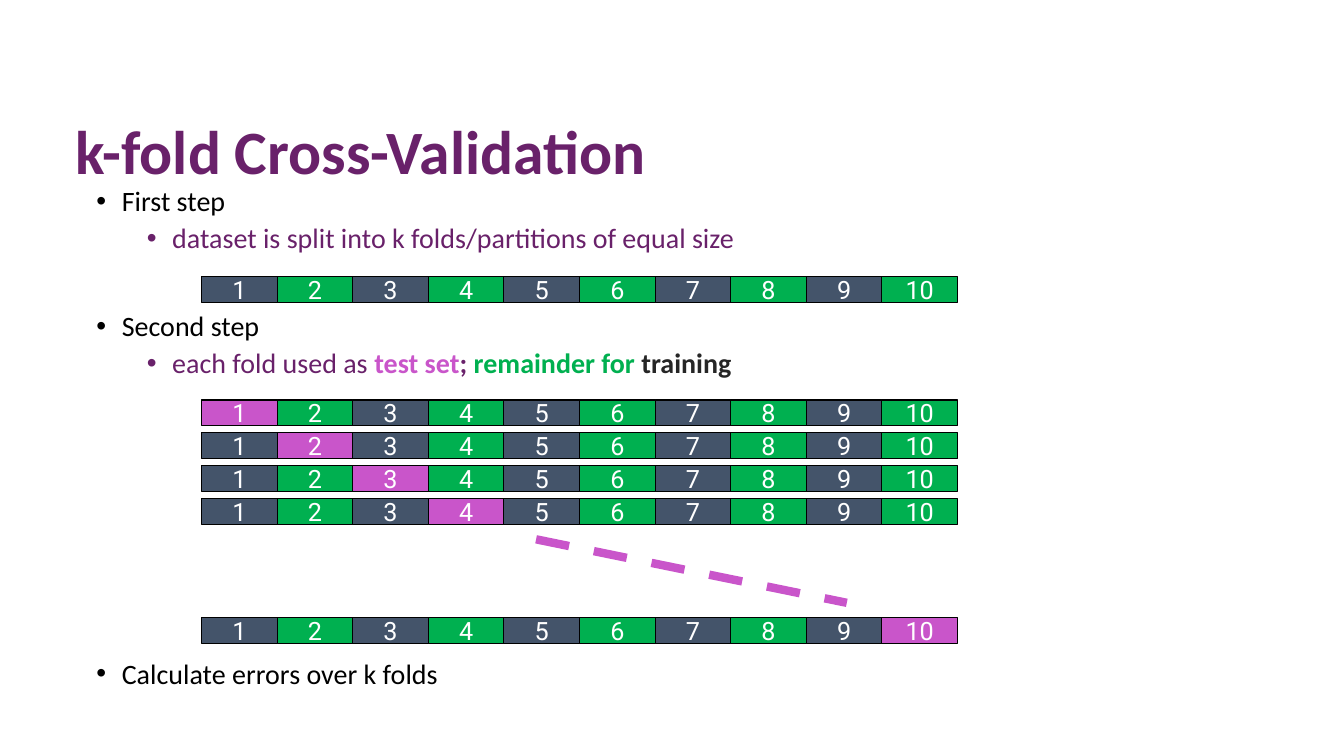
from dataclasses import dataclass

import pptx
import pptx.dml.color
import pptx.enum.dml
import pptx.enum.shapes
import pptx.enum.text
import pptx.oxml.ns
import pptx.shapes.autoshape
import pptx.slide
import pptx.text.text
import pptx.util
from lxml import etree
from pptx.dml.color import RGBColor
from pptx.util import Cm, Pt

PURPLE = RGBColor(0x69, 0x21, 0x6A)
ORCHID = RGBColor(0xC9, 0x55, 0xCA)
GREEN = RGBColor(0x00, 0xB0, 0x50)
SLATE = RGBColor(0x44, 0x54, 0x6A)
CHARCOAL = RGBColor(0x26, 0x26, 0x26)
BLACK = RGBColor(0x00, 0x00, 0x00)
WHITE = RGBColor(0xFF, 0xFF, 0xFF)

FOLD_COUNT = 10
BAR_LEFT = 5.08
BAR_WIDTH = 19.05
BAR_HEIGHT = 0.64
FIRST_ROUND_TOP = 10.08
ROUND_PITCH = 0.83


@dataclass(frozen=True)
class Phrase:
    text: str
    color: RGBColor
    bold: bool = False


@dataclass(frozen=True)
class Step:
    phrases: tuple[Phrase, ...]
    level: int = 0
    space_before: float = 0


@dataclass(frozen=True)
class FoldBar:
    top: float
    test_fold: int | None = None


STEPS = (
    Step((Phrase("First step", BLACK),)),
    Step((Phrase("dataset is split into k folds/partitions of equal size", PURPLE),), 1, 5),
    Step((Phrase("Second step", BLACK),), 0, 41),
    Step(
        (
            Phrase("each fold used as ", PURPLE),
            Phrase("test set", ORCHID, True),
            Phrase("; ", PURPLE, True),
            Phrase("remainder for ", GREEN, True),
            Phrase("training", CHARCOAL, True),
        ),
        1,
        5,
    ),
    Step((Phrase("Calculate errors over k folds", BLACK),), 0, 200),
)

FOLD_BARS = (
    FoldBar(6.98),
    *(FoldBar(FIRST_ROUND_TOP + i * ROUND_PITCH, i + 1) for i in range(4)),
    FoldBar(15.57, FOLD_COUNT),
)


def style_run(run: pptx.text.text._Run, font_name: str, size: float,
              color: RGBColor, bold: bool = False) -> None:
    run.font.name = font_name
    run.font.size = Pt(size)
    run.font.bold = bold
    run.font.color.rgb = color


def add_bullet(paragraph: pptx.text.text._Paragraph, level: int) -> None:
    properties = paragraph._p.get_or_add_pPr()
    properties.set("marL", str(Cm(1.91 if level else 0.64)))
    properties.set("indent", str(Cm(-0.64)))
    etree.SubElement(properties, pptx.oxml.ns.qn("a:buFont"), typeface="Arial")
    etree.SubElement(properties, pptx.oxml.ns.qn("a:buChar"), char="•")


def draw_title(slide: pptx.slide.Slide) -> None:
    title = slide.shapes.add_textbox(Cm(1.65), Cm(2.84), Cm(29.21), Cm(2.11)).text_frame
    title.word_wrap = True
    title.vertical_anchor = pptx.enum.text.MSO_ANCHOR.MIDDLE
    title.text = "k-fold Cross-Validation"
    title.paragraphs[0].line_spacing = 0.9
    style_run(title.paragraphs[0].runs[0], "Calibri", 44, PURPLE, True)


def draw_steps(slide: pptx.slide.Slide) -> None:
    outline = slide.shapes.add_textbox(Cm(2.18), Cm(4.6), Cm(22.94), Cm(13.44)).text_frame
    outline.word_wrap = True
    for index, step in enumerate(STEPS):
        paragraph = outline.add_paragraph() if index else outline.paragraphs[0]
        paragraph.level = step.level
        add_bullet(paragraph, step.level)
        paragraph.line_spacing = 0.9
        paragraph.space_before = Pt(step.space_before)
        for phrase in step.phrases:
            run = paragraph.add_run()
            run.text = phrase.text
            style_run(run, "Calibri", 20, phrase.color, phrase.bold)


def fold_color(fold: int, test_fold: int | None) -> RGBColor:
    if fold == test_fold:
        return ORCHID
    return SLATE if fold % 2 else GREEN


def draw_fold_bar(slide: pptx.slide.Slide, bar: FoldBar) -> None:
    fold_width = BAR_WIDTH / FOLD_COUNT
    for fold in range(1, FOLD_COUNT + 1):
        cell = slide.shapes.add_shape(
            pptx.enum.shapes.MSO_SHAPE.RECTANGLE,
            Cm(BAR_LEFT + (fold - 1) * fold_width), Cm(bar.top),
            Cm(fold_width), Cm(BAR_HEIGHT),
        )
        cell.shadow.inherit = False
        cell.fill.solid()
        cell.fill.fore_color.rgb = fold_color(fold, bar.test_fold)
        cell.line.color.rgb = BLACK
        cell.line.width = Pt(0.75)
        label = cell.text_frame
        label.word_wrap = False
        label.vertical_anchor = pptx.enum.text.MSO_ANCHOR.MIDDLE
        label.text = str(fold)
        label.paragraphs[0].alignment = pptx.enum.text.PP_ALIGN.CENTER
        style_run(label.paragraphs[0].runs[0], "Roboto", 18, WHITE)


def draw_continuation(slide: pptx.slide.Slide) -> None:
    continuation = slide.shapes.add_connector(
        pptx.enum.shapes.MSO_CONNECTOR.STRAIGHT,
        Cm(13.51), Cm(13.59), Cm(21.34), Cm(15.19),
    )
    continuation.line.color.rgb = ORCHID
    continuation.line.width = Pt(6)
    continuation.line.dash_style = pptx.enum.dml.MSO_LINE.DASH
    etree.SubElement(continuation._element.spPr, pptx.oxml.ns.qn("a:effectLst"))


def main() -> None:
    presentation = pptx.Presentation()
    presentation.slide_width = Cm(33.87)
    presentation.slide_height = Cm(19.05)
    slide = presentation.slides.add_slide(presentation.slide_layouts[6])
    draw_title(slide)
    draw_steps(slide)
    for bar in FOLD_BARS:
        draw_fold_bar(slide, bar)
    draw_continuation(slide)
    presentation.save("out.pptx")


if __name__ == "__main__":
    main()
